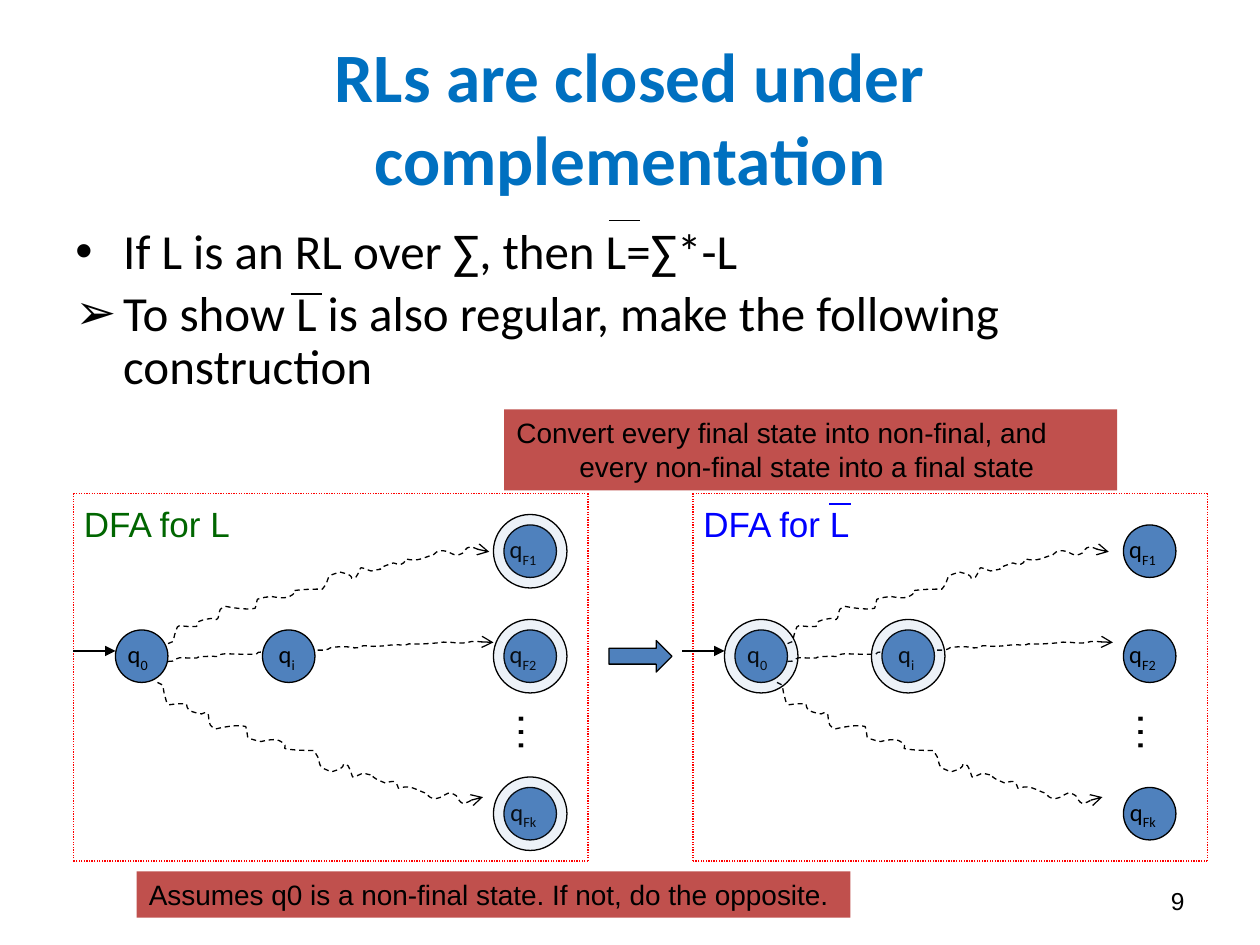
from pptx import Presentation
from pptx.dml.color import RGBColor
from pptx.enum.dml import MSO_LINE
from pptx.enum.shapes import MSO_CONNECTOR, MSO_SHAPE
from pptx.enum.text import MSO_ANCHOR, MSO_AUTO_SIZE, PP_ALIGN
from pptx.oxml.ns import qn
from pptx.oxml.xmlchemy import OxmlElement
from pptx.util import Inches, Pt

COLORS = {"title": "0070C0", "text": "000000", "state": "4F81BD", "callout": "C0504D",
          "frame": "FF0000", "green": "006600", "blue": "0000FF"}
OVAL, RECTANGLE, RIGHT_ARROW = MSO_SHAPE.OVAL, MSO_SHAPE.RECTANGLE, MSO_SHAPE.RIGHT_ARROW
DASH, DOT = MSO_LINE.DASH, MSO_LINE.ROUND_DOT
LEFT, CENTER, RIGHT = PP_ALIGN.LEFT, PP_ALIGN.CENTER, PP_ALIGN.RIGHT
TOP, MIDDLE = MSO_ANCHOR.TOP, MSO_ANCHOR.MIDDLE

# The slide is a grid of 120 columns and 90 rows, twelve to the inch
FRAME_COLUMNS, FRAME_ROWS = 49, 35
STATE_SIZE = 5
STATES = {"0": (4, 13), "i": (18, 13), "F1": (41, 3), "F2": (41, 13), "Fk": (41, 28)}
# Start, width and height of each wavy path; negative heights rise
WAVES = [((9, 14.3), 30.6, -9.6), ((9, 16), 31, -2), ((8, 18), 31, 12)]
# Bezier control points of a wave, in percent of its height; x runs to 258
WAVE_POINTS = [
    (1, 1), (3, 1), (4, 2), (5, 5), (5, 9), (6, 11), (9, 22), (6, 16), (23, 17),
    (23, 19), (24, 21), (25, 22), (28, 24), (35, 25), (35, 25), (43, 21), (39, 28), (42, 34),
    (43, 35), (44, 36), (46, 37), (50, 36), (63, 33), (70, 35), (73, 47), (69, 43), (78, 46),
    (79, 46), (80, 46), (82, 47), (86, 46), (94, 44), (98, 47), (106, 52), (96, 52), (104, 53),
    (111, 54), (117, 54), (124, 54), (125, 56), (126, 57), (127, 59),
    (129, 62), (127, 65), (131, 68), (133, 69), (138, 71), (138, 71),
    (140, 70), (142, 70), (144, 69), (151, 65), (144, 63), (151, 66),
    (157, 77), (151, 77), (163, 72), (179, 76), (164, 71), (174, 77),
    (176, 78), (181, 80), (181, 80), (186, 78), (189, 77), (191, 84),
    (201, 81), (204, 85), (213, 88), (217, 93), (219, 93), (225, 91),
    (230, 88), (231, 86), (237, 90), (242, 100), (250, 91), (258, 91)]


def grid(*cells):
    return [Inches(cell / 12) for cell in cells]


def rgb(name):
    return RGBColor.from_string(COLORS[name])


def style_line(shape, color="text", width=0.75, dash=None, tail=None):
    shape.line.color.rgb = rgb(color)
    shape.line.width = Pt(width)
    if dash:
        shape.line.dash_style = dash
    if tail:
        end = OxmlElement("a:tailEnd")
        end.set("type", tail)
        shape.element.spPr.find(qn("a:ln")).append(end)


def add_line(slide, start, end, **style):
    line = slide.shapes.add_connector(MSO_CONNECTOR.STRAIGHT, *grid(*start, *end))
    style_line(line, **style)
    line.element.spPr.append(OxmlElement("a:effectLst"))


def add_shape(slide, kind, box, fill, outlined=True):
    shape = slide.shapes.add_shape(kind, *grid(*box))
    shape.shadow.inherit = False
    shape.fill.solid()
    shape.fill.fore_color.rgb = rgb(fill)
    if outlined:
        style_line(shape)
    else:
        shape.line.fill.background()
    return shape


def write(shape, text, size, font="Arial", color="text", align=LEFT, anchor=TOP, wrap=False):
    frame = shape.text_frame
    frame.text = text
    frame.word_wrap = wrap
    frame.auto_size = MSO_AUTO_SIZE.NONE
    frame.vertical_anchor = anchor
    for paragraph in frame.paragraphs:
        paragraph.alignment = align
        for run in paragraph.runs:
            run.font.size = Pt(size)
            run.font.name = font
            run.font.color.rgb = rgb(color)
    return frame


def add_text(slide, box, text, size, **style):
    shape = slide.shapes.add_textbox(*grid(*box))
    write(shape, text, size, **style)
    return shape


def add_state(slide, left, top, name):
    state = add_shape(slide, OVAL, (left, top, STATE_SIZE, STATE_SIZE), "state")
    frame = write(state, "q", 14, "Calibri", align=RIGHT, anchor=MIDDLE)
    subscript = frame.paragraphs[0].add_run()
    subscript.text = name
    subscript.font.size = Pt(14)
    subscript.font.name = "Calibri"
    subscript.font.color.rgb = rgb("text")
    subscript.font._element.set("baseline", "-25000")


def add_final_ring(slide, left, top):
    size = STATE_SIZE + 2
    ring = add_shape(slide, OVAL, (left - 1, top - 1, size, size), "state")
    alpha = OxmlElement("a:alpha")
    alpha.set("val", "10000")
    ring.element.spPr.find(qn("a:solidFill"))[0].append(alpha)


def add_wave(slide, start, width, height):
    points = [grid(start[0] + x / 258 * width, start[1] + y / 100 * height)
              for x, y in WAVE_POINTS]
    builder = slide.shapes.build_freeform(*grid(*start))
    builder.add_line_segments(points, close=False)
    wave = builder.convert_to_shape()
    # Turn every three straight segments into one Bezier curve
    segments = list(wave.element.spPr.iter(qn("a:lnTo")))
    for index in range(0, len(segments), 3):
        curve = OxmlElement("a:cubicBezTo")
        segments[index].addprevious(curve)
        for segment in segments[index:index + 3]:
            curve.append(segment[0])
            segment.getparent().remove(segment)
    wave.fill.background()
    wave.shadow.inherit = False
    style_line(wave, dash=DASH, tail="arrow")


def add_automaton(slide, left, top, label_color, final_states, entry):
    right, bottom = left + FRAME_COLUMNS, top + FRAME_ROWS
    # Paths below the states
    for (column, row), width, height in WAVES:
        add_wave(slide, (left + column, top + row), width, height)
    # States and rings of the final ones
    for name, (column, row) in STATES.items():
        add_state(slide, left + column, top + row, name)
        if name in final_states:
            add_final_ring(slide, left + column, top + row)
    dots = add_text(slide, (left + 40.8, top + 19.8, 6.4, 6), "…", 24)
    dots.rotation = 90
    # Dotted frame, label and entry arrow
    corners = [(left, top), (right, top), (right, bottom), (left, bottom)]
    for start, end in zip(corners, corners[1:] + corners[:1]):
        add_line(slide, start, end, color="frame", dash=DOT)
    add_text(slide, (left - 0.2, top + 0.3, 16.7, 5.2), "DFA for L", 20, color=label_color)
    add_line(slide, (left + entry, top + 15), (left + entry + 4, top + 15), tail="triangle")


def add_title(slide, box):
    title = slide.shapes.title
    title.left, title.top, title.width, title.height = grid(*box)
    frame = write(title, "RLs are closed under complementation", 39.6, "Calibri",
                  "title", CENTER, MIDDLE, wrap=True)
    frame.paragraphs[0].runs[0].font.bold = True


def add_bullets(slide, box):
    lines = ["If L is an RL over ∑, then L=∑*-L",
             "To show L is also regular, make the following construction"]
    body = add_text(slide, box, "\n".join(lines), 28, font="Calibri", wrap=True)
    for index, (paragraph, mark) in enumerate(zip(body.text_frame.paragraphs, "•➢")):
        paragraph.line_spacing = 0.9
        if index:
            paragraph.space_before = Pt(5.6)
        properties = paragraph._p.get_or_add_pPr()
        properties.set("marL", str(Inches(0.38)))
        properties.set("indent", str(-Inches(0.38)))
        for tag, key, value in (("a:buFont", "typeface", "Arial"), ("a:buChar", "char", mark)):
            bullet = OxmlElement(tag)
            bullet.set(key, value)
            properties.append(bullet)
    # Complement bars over L
    left, top = box[:2]
    for column, row in ((52, 0), (21.7, 7)):
        add_line(slide, (left + column, top + row), (left + column + 3, top + row))


def add_callout(slide, box, text):
    write(add_shape(slide, RECTANGLE, box, "callout", outlined=False), text, 16)


def main():
    presentation = Presentation()
    presentation.slide_width, presentation.slide_height = grid(120, 90)
    slide = presentation.slides.add_slide(presentation.slide_layouts[5])
    add_title(slide, (6, 3.6, 108, 15))
    # The two automata, the complement bar and the arrow between them
    add_automaton(slide, 7, 47, "green", {"F1", "F2", "Fk"}, entry=0)
    add_automaton(slide, 66, 47, "blue", {"0", "i"}, entry=-1)
    add_line(slide, (79, 48), (81, 48), color="blue", width=1.5)
    add_shape(slide, RIGHT_ARROW, (58, 61, 6, 3), "state")
    add_bullets(slide, (6, 21, 108, 18))
    add_callout(slide, (48, 39, 58.4, 7.7),
                "Convert every final state into non-final, and\n"
                "\tevery non-final state into a final state")
    add_callout(slide, (13, 83, 68, 4.4),
                "Assumes q0 is a non-final state. If not, do the opposite.")
    # Slide number
    add_text(slide, (86, 83.4, 28, 4.8), "9", 14, align=RIGHT, anchor=MIDDLE, wrap=True)
    presentation.save("out.pptx")


if __name__ == "__main__":
    main()
